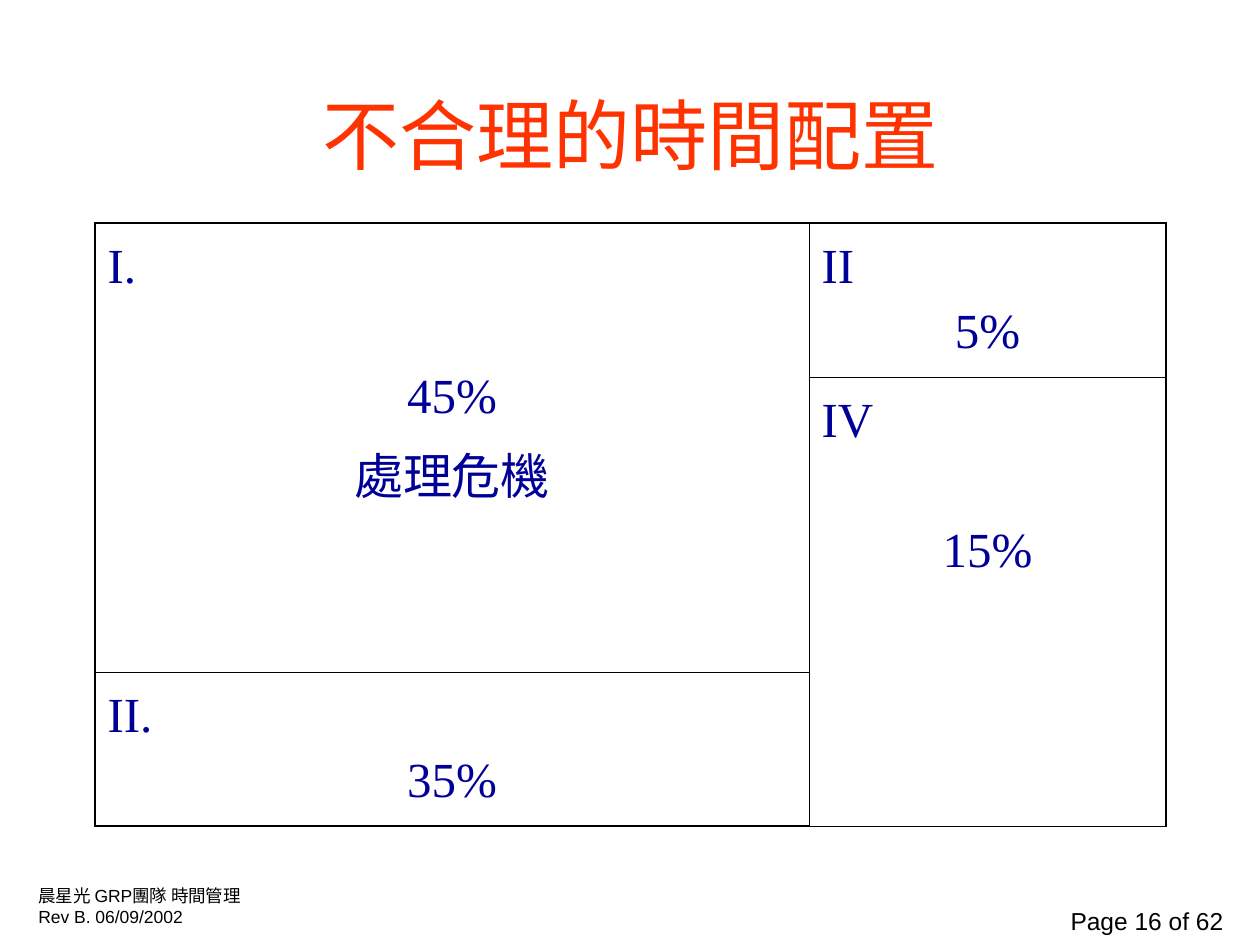
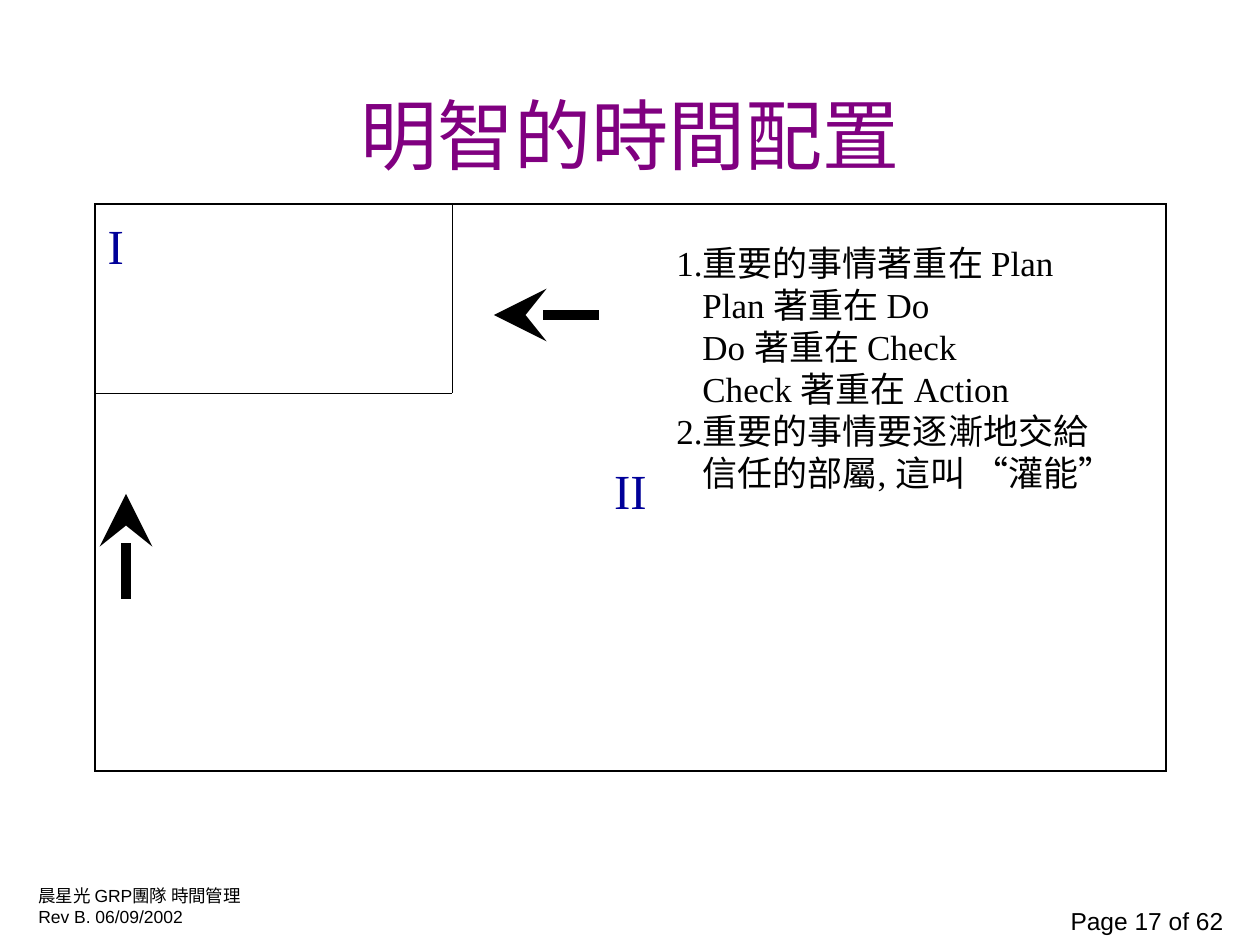
from lxml import etree
from pptx import Presentation
from pptx.dml.color import RGBColor
from pptx.enum.shapes import MSO_CONNECTOR
from pptx.enum.text import MSO_ANCHOR, MSO_AUTO_SIZE, PP_ALIGN
from pptx.oxml import parse_xml
from pptx.oxml.ns import nsdecls, qn
from pptx.util import Emu, Pt

STRAIGHT = MSO_CONNECTOR.STRAIGHT
TOP, MIDDLE = MSO_ANCHOR.TOP, MSO_ANCHOR.MIDDLE
LEFT, CENTER, RIGHT = PP_ALIGN.LEFT, PP_ALIGN.CENTER, PP_ALIGN.RIGHT
NO_AUTOFIT = MSO_AUTO_SIZE.NONE

BLACK = RGBColor(0x00, 0x00, 0x00)
NAVY = RGBColor(0x00, 0x00, 0x99)
ORANGE_RED = RGBColor(0xFF, 0x33, 0x00)
PURPLE = RGBColor(0x80, 0x00, 0x80)
SERIF, SANS = "Times New Roman", "Arial"

PX_PER_INCH = 126
OUTER, INNER = 1.08, 0.45
SKIPPED_LINE = 37
TITLE_BOX = (95, 55, 1071, 158)
FOOTER_BOX = (26, 879, 237, 56)
PAGE_BOX = (1057, 900, 179, 42)
PAGE_COUNT = 62


def px(length):
    return Emu(round(length * 914400 / PX_PER_INCH))


def add_text(frame, text, size=20, font=SERIF, color=BLACK, align=LEFT,
             spacing=None, before=None, indent=0):
    paragraph = frame.paragraphs[-1]
    if paragraph.runs:
        paragraph = frame.add_paragraph()
    if indent:
        paragraph._p.get_or_add_pPr().set("marL", str(px(indent)))
    paragraph.alignment = align
    paragraph.line_spacing = spacing
    if before:
        paragraph.space_before = Pt(before)
    run = paragraph.add_run()
    run.text = text
    run.font.size = Pt(size)
    run.font.name = font
    run.font.color.rgb = color


def add_text_box(slide, box):
    frame = slide.shapes.add_textbox(*map(px, box)).text_frame
    frame.word_wrap = False
    return frame


def add_page(presentation, title, title_color, number):
    slide = presentation.slides.add_slide(presentation.slide_layouts[5])
    shape = slide.shapes.title
    shape.left, shape.top, shape.width, shape.height = map(px, TITLE_BOX)
    frame = shape.text_frame
    frame.auto_size = NO_AUTOFIT
    frame.vertical_anchor = MIDDLE
    add_text(frame, title, size=44, color=title_color, align=CENTER)

    footer = add_text_box(slide, FOOTER_BOX)
    for line in ("晨星光 GRP團隊 時間管理", "Rev B. 06/09/2002"):
        add_text(footer, line, size=10, font=SANS)
    add_text(add_text_box(slide, PAGE_BOX), f"Page {number} of {PAGE_COUNT}",
             size=14, font=SANS, align=RIGHT)
    return slide


def set_borders(cell, **widths):
    properties = cell._tc.get_or_add_tcPr()
    for index, side in enumerate("LRTB"):
        width = widths.get(side, 0)
        fill = (f'<a:solidFill><a:srgbClr val="{BLACK}"/></a:solidFill>'
                if width else "<a:noFill/>")
        properties.insert(index, parse_xml(
            f'<a:ln{side} {nsdecls("a")} w="{Pt(width)}">{fill}</a:ln{side}>'))


def add_grid(slide, left, top, columns, rows, inner_sides):
    table = slide.shapes.add_table(
        len(rows), len(columns), px(left), px(top),
        px(sum(columns)), px(sum(rows))).table
    table.first_row = table.horz_banding = False
    for column, width in zip(table.columns, columns):
        column.width = px(width)
    for row, height in zip(table.rows, rows):
        row.height = px(height)
    for r in range(len(rows)):
        for c in range(len(columns)):
            on_edge = {"L": c == 0, "R": c == len(columns) - 1,
                       "T": r == 0, "B": r == len(rows) - 1}
            inner = inner_sides(r, c)
            cell = table.cell(r, c)
            cell.fill.background()
            set_borders(cell, **{
                side: OUTER if edge else INNER if side in inner else 0
                for side, edge in on_edge.items()})
    return table


def fill_quadrant(cell, label, *lines, skip=0, align=LEFT, anchor=TOP):
    cell.vertical_anchor = anchor
    style = dict(size=28, color=NAVY, spacing=1.2)
    add_text(cell.text_frame, label, align=align, **style)
    for index, line in enumerate(lines):
        add_text(cell.text_frame, line, align=CENTER,
                 before=0 if index else skip, **style)


def add_arrow(slide, start, end):
    arrow = slide.shapes.add_connector(STRAIGHT, *map(px, start + end))
    arrow.line.color.rgb = BLACK
    arrow.line.width = Pt(6)
    etree.SubElement(arrow.line._get_or_add_ln(), qn("a:tailEnd"),
                     type="stealth", w="lg", len="lg")
    etree.SubElement(arrow._element.spPr, qn("a:effectLst"))


def add_advice(slide, box):
    frame = add_text_box(slide, box)
    for text, indent in (
        ("1.重要的事情著重在 Plan", 0),
        ("Plan 著重在 Do", 26),
        ("Do 著重在 Check", 26),
        ("Check 著重在 Action", 26),
        ("2.重要的事情要逐漸地交給", 0),
        ("信任的部屬, 這叫 “灌能”", 26),
    ):
        add_text(frame, text, indent=indent)


def build_unreasonable_slide(presentation):
    slide = add_page(presentation, "不合理的時間配置", ORANGE_RED, 16)
    table = add_grid(slide, 95, 223, (714, 357), (154, 295, 154),
                     lambda r, c: "LRTB")
    table.cell(0, 0).merge(table.cell(1, 0))
    table.cell(1, 1).merge(table.cell(2, 1))
    fill_quadrant(table.cell(0, 0), "I.", "45%", "處理危機", skip=SKIPPED_LINE)
    fill_quadrant(table.cell(0, 1), "II", "5%")
    fill_quadrant(table.cell(1, 1), "IV", "15%", skip=SKIPPED_LINE)
    fill_quadrant(table.cell(2, 0), "II.", "35%")


def build_wise_slide(presentation):
    slide = add_page(presentation, "明智的時間配置", PURPLE, 17)
    around_first = {(0, 0): "RB", (0, 1): "L", (1, 0): "T"}
    table = add_grid(slide, 95, 204, (357,) * 3, (189,) * 3,
                     lambda r, c: around_first.get((r, c), ""))
    fill_quadrant(table.cell(0, 0), "I")
    fill_quadrant(table.cell(1, 1), "II", align=CENTER, anchor=MIDDLE)
    add_arrow(slide, (126, 599), (126, 494))
    add_arrow(slide, (599, 315), (494, 315))
    add_advice(slide, (664, 235, 488, 265))


def main():
    presentation = Presentation()
    presentation.slide_width, presentation.slide_height = px(1260), px(945)
    build_unreasonable_slide(presentation)
    build_wise_slide(presentation)
    presentation.save("out.pptx")


if __name__ == "__main__":
    main()
